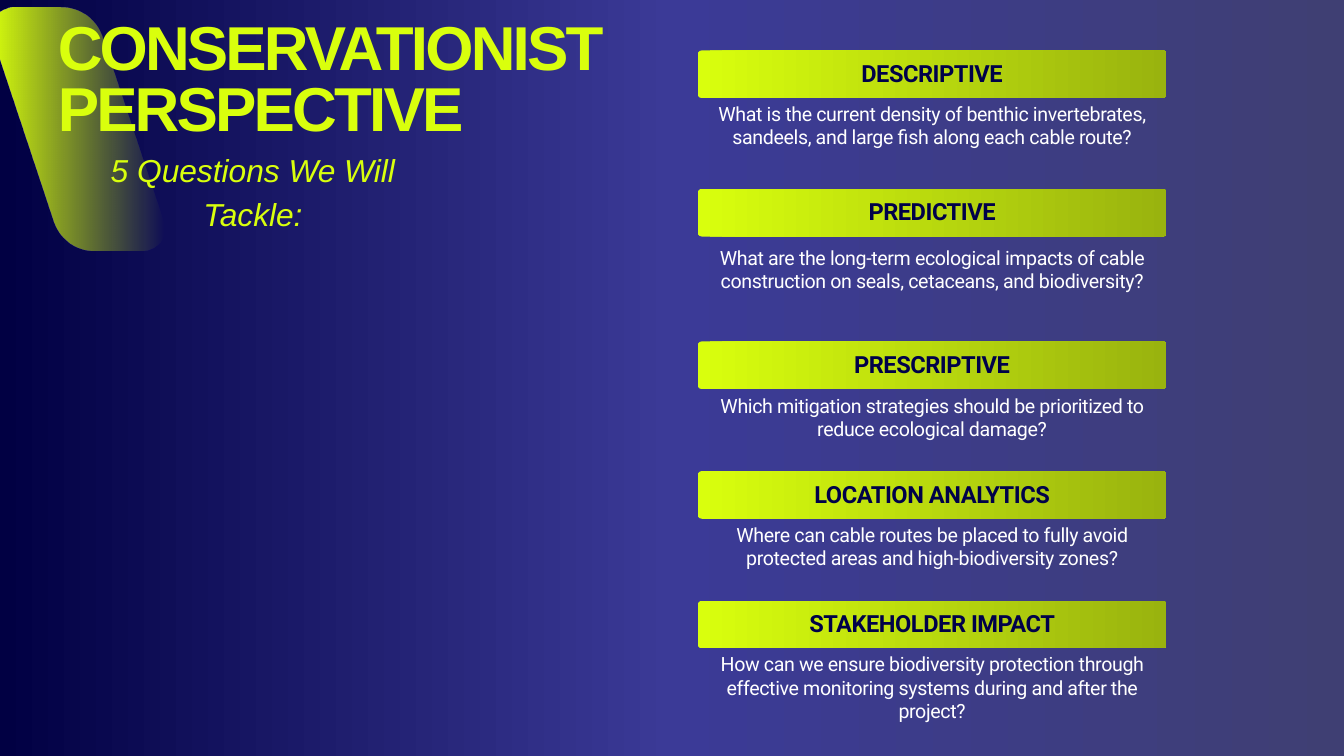
from lxml.etree import SubElement
from pptx import Presentation
from pptx.dml.color import RGBColor as RGB
from pptx.enum.shapes import MSO_SHAPE as SHAPE
from pptx.enum.text import MSO_ANCHOR as ANCHOR, MSO_AUTO_SIZE as AUTO, PP_ALIGN as ALIGN
from pptx.oxml.ns import qn
from pptx.util import Inches, Pt

COLORS = {"lime": "D9FF0D", "olive": "99B30E", "navy": "000149", "white": "FFFFFF",
          "night": "010043", "indigo": "3B3A97", "slate": "3F3F73"}

FORMATS = {
    "title": {"font": {"name": "Arial", "size": Pt(66.4), "bold": True}, "color": "lime",
              "spc": -300, "par": {"line_spacing": Pt(65.7), "alignment": ALIGN.LEFT}},
    "subtitle": {"font": {"name": "Arial", "size": Pt(34), "italic": True}, "color": "lime",
                 "spc": 0, "par": {"line_spacing": Pt(47.6), "alignment": ALIGN.CENTER}},
    "label": {"font": {"name": "Roboto", "size": Pt(25.3), "bold": True}, "color": "navy",
              "spc": -50, "par": {"line_spacing": Pt(30.1), "alignment": ALIGN.CENTER}},
    "question": {"font": {"name": "Roboto", "size": Pt(21)}, "color": "white",
                 "spc": -40, "par": {"line_spacing": Pt(25), "alignment": ALIGN.CENTER}},
}
FRAME = {"margin_left": 0, "margin_right": 0, "margin_top": 0, "margin_bottom": 0,
         "word_wrap": True, "auto_size": AUTO.SHAPE_TO_FIT_TEXT, "vertical_anchor": ANCHOR.TOP}

LEFT, WIDTH, BAR_HEIGHT = 10.38, 6.98, 0.71
QUESTIONS = [
    (0.75, 1.52, 1.06, "DESCRIPTIVE",
     "What is the current density of benthic invertebrates, sandeels, and large fish along each cable route?"),
    (2.81, 3.66, 1.06, "PREDICTIVE",
     "What are the long-term ecological impacts of cable construction on seals, cetaceans, and biodiversity?"),
    (5.08, 5.86, 1.06, "PRESCRIPTIVE",
     "Which mitigation strategies should be prioritized to reduce ecological damage?"),
    (7.01, 7.78, 1.06, "LOCATION ANALYTICS",
     "Where can cable routes be placed to fully avoid protected areas and high-biodiversity zones?"),
    (8.94, 9.71, 1.41, "STAKEHOLDER IMPACT",
     "How can we ensure biodiversity protection through effective monitoring systems during and after the project?"),
]

SLANT_CENTER = (1.165, 1.92)
SLANT_CURVES = [
    [(0.21, 0.11), (0.11, 0.11), (0, 0.17), (-0.06, 0.25)],
    [(-0.06, 0.25), (-0.12, 0.34), (-0.14, 0.45), (-0.1, 0.55)],
    [(0.81, 3.3), (0.9, 3.56), (1.14, 3.73), (1.42, 3.73)],
]


def bezier(curve, steps=12):
    for i in range(steps + 1):
        t = i / steps
        weights = ((1 - t) ** 3, 3 * t * (1 - t) ** 2, 3 * t * t * (1 - t), t ** 3)
        yield tuple(sum(w * pt[axis] for w, pt in zip(weights, curve)) for axis in (0, 1))


def set_all(obj, values):
    for name, value in values.items():
        setattr(obj, name, value)


class Deck:
    def __init__(self, width, height):
        self.prs = Presentation()
        self.prs.slide_width, self.prs.slide_height = Inches(width), Inches(height)
        self.s = self.prs.slides.add_slide(self.prs.slide_layouts[5])

    def gradient(self, fill, element, stops):
        fill.gradient()
        fill.gradient_angle = 0
        gs_list = next(element.iter(qn("a:gsLst")))
        for gs in list(gs_list):
            gs_list.remove(gs)
        for pos, color, alpha in stops:
            gs = SubElement(gs_list, qn("a:gs"), pos=str(pos * 1000))
            clr = SubElement(gs, qn("a:srgbClr"), val=COLORS[color])
            if alpha < 100:
                SubElement(clr, qn("a:alpha"), val=str(alpha * 1000))

    def background(self, *stops):
        self.gradient(self.s.background.fill, self.s.element, stops)

    def paint(self, sp, *stops):
        sp.shadow.inherit = False
        sp.line.fill.background()
        self.gradient(sp.fill, sp.element, stops)

    def slant(self):
        half = [pt for curve in SLANT_CURVES for pt in bezier(curve)]
        cx, cy = SLANT_CENTER
        points = half + [(2 * cx - x, 2 * cy - y) for x, y in half]
        points = [(Inches(x), Inches(y)) for x, y in points]
        builder = self.s.shapes.build_freeform(*points[0])
        builder.add_line_segments(points[1:], close=True)
        self.paint(builder.convert_to_shape(), (0, "lime", 100), (100, "lime", 0))

    def bar(self, *box):
        sp = self.s.shapes.add_shape(SHAPE.ROUNDED_RECTANGLE, *map(Inches, box))
        sp.adjustments[0] = 0.09
        self.paint(sp, (0, "lime", 100), (100, "olive", 100))

    def fill_text(self, sp, text, kind):
        fmt = FORMATS[kind]
        tf = sp.text_frame
        set_all(tf, FRAME)
        p = tf.paragraphs[0]
        set_all(p, fmt["par"])
        r = p.add_run()
        r.text = text
        set_all(r.font, fmt["font"])
        r.font.color.rgb = RGB.from_string(COLORS[fmt["color"]])
        r._r.get_or_add_rPr().set("spc", str(fmt["spc"]))

    def text(self, text, kind, *box):
        self.fill_text(self.s.shapes.add_textbox(*map(Inches, box)), text, kind)

    def title(self, text, *box):
        sp = self.s.shapes.title
        set_all(sp, dict(zip(("left", "top", "width", "height"), map(Inches, box))))
        self.fill_text(sp, text, "title")
        sp.element.getparent().append(sp.element)


def main():
    deck = Deck(20, 11.25)
    deck.background((0, "night", 100), (50, "indigo", 100), (100, "slate", 100))
    deck.slant()
    deck.title("CONSERVATIONIST PERSPECTIVE", 0.86, 0.32, 8.5, 1.86)
    deck.text("5 Questions We Will Tackle:", "subtitle", 0.86, 2.15, 5.81, 0.63)
    for bar_top, text_top, text_height, label, question in QUESTIONS:
        deck.bar(LEFT, bar_top, WIDTH, BAR_HEIGHT)
        deck.text(label, "label", LEFT, bar_top + 0.13, WIDTH, 0.42)
        deck.text(question, "question", LEFT, text_top, WIDTH, text_height)
    deck.prs.save("out.pptx")


if __name__ == "__main__":
    main()
